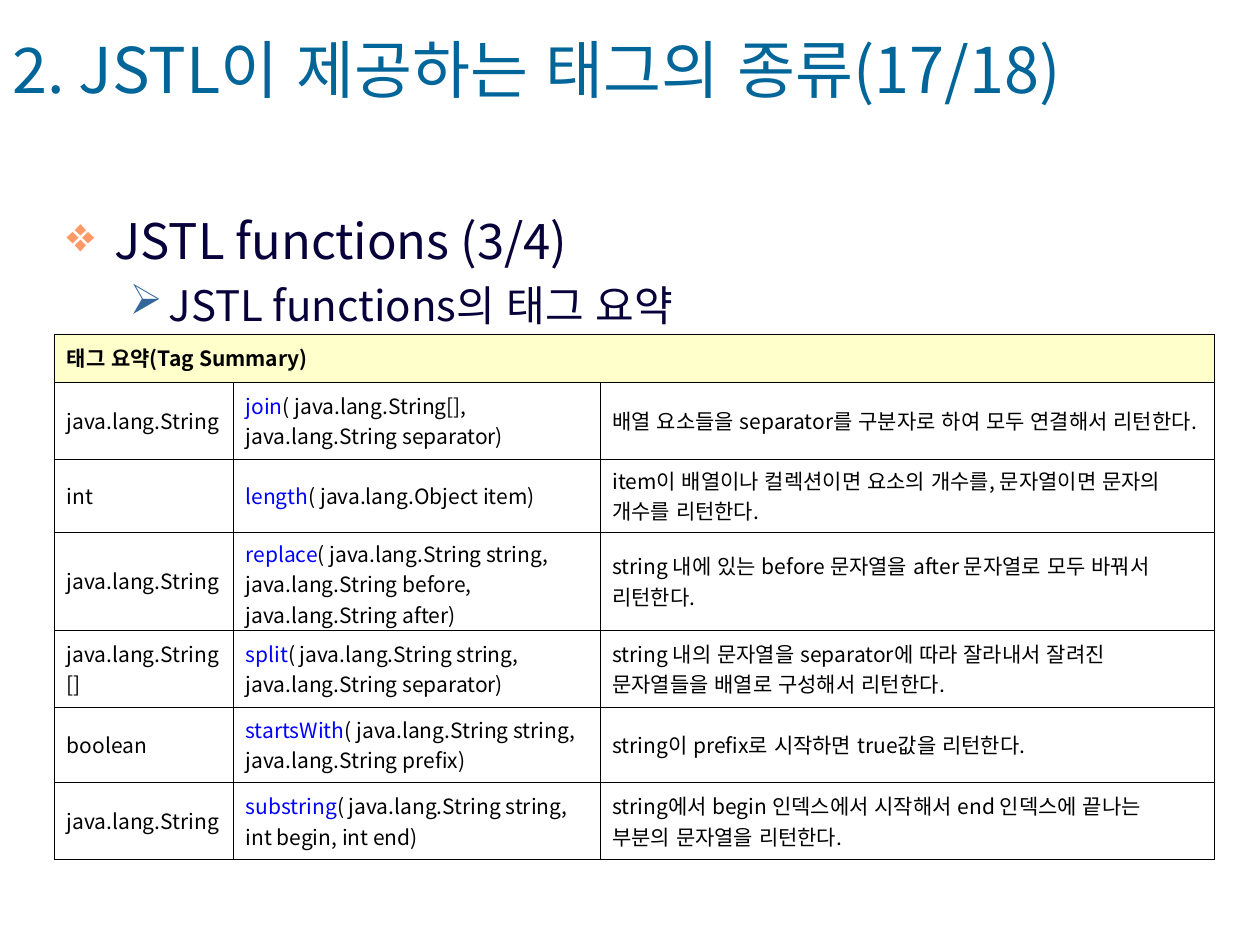
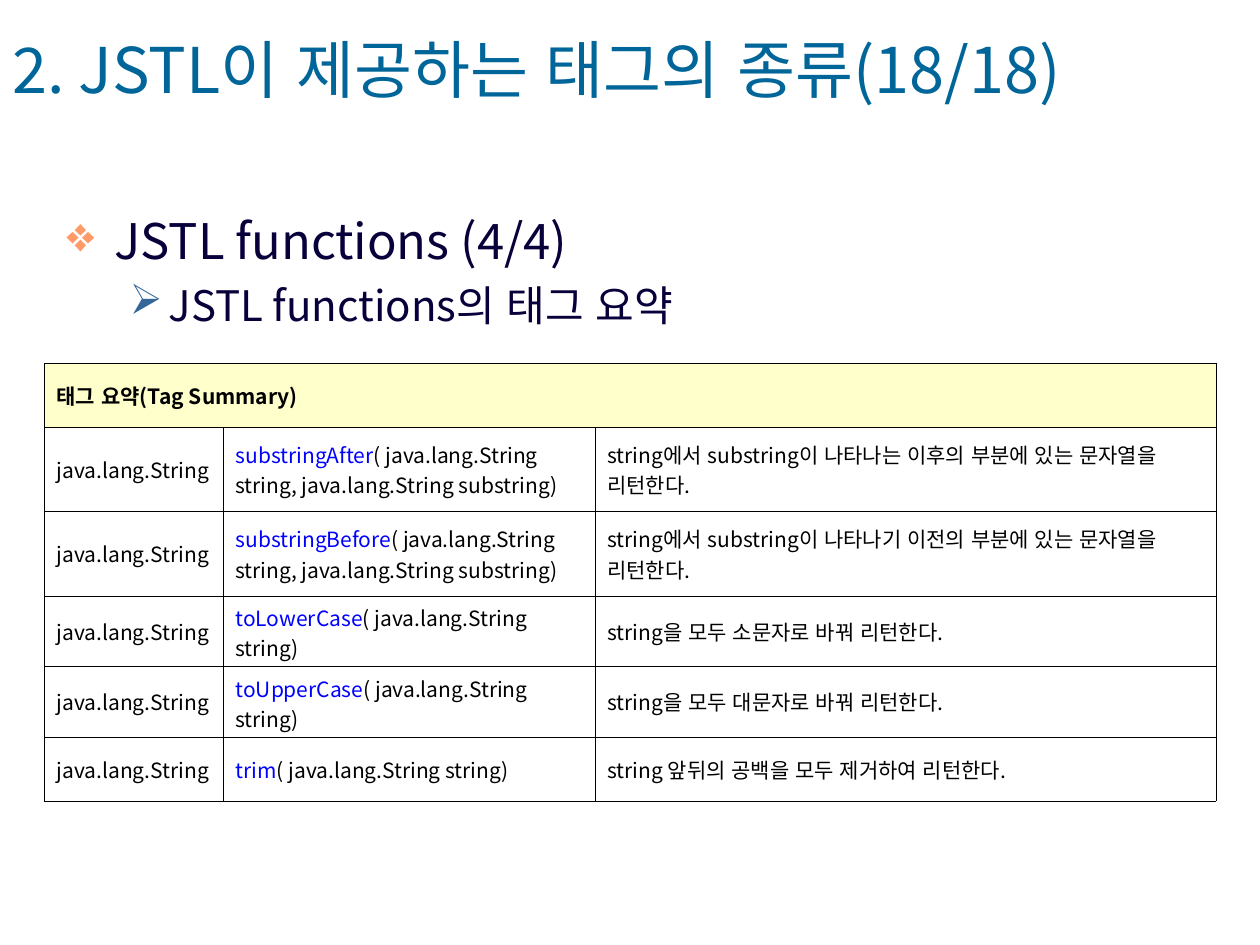
"""Build two slides that summarise the JSTL functions in tables."""
from lxml.etree import SubElement
from pptx import Presentation
from pptx.dml.color import RGBColor
from pptx.enum.lang import MSO_LANGUAGE_ID as Language
from pptx.enum.text import MSO_ANCHOR as Anchor, PP_ALIGN as Align
from pptx.oxml.ns import qn
from pptx.util import Inches, Pt

COLUMNS, ROWS = 100, 75
FONT = "Noto Sans CJK KR"
TITLE, BODY, BLACK, LINK = "006699", "08003A", "000000", "0000FF"
HEAD_FILL, CELL_FILL = "FFFFCC", "FFFFFF"
BORDER = Pt(0.06)
BULLETS = [
    {"mark": "❖", "color": "FF9966", "left": 0.38, "hang": 0.38, "size": 28,
     "format": {"level": 0, "space_before": Pt(7), "alignment": Align.JUSTIFY}},
    {"mark": "➢", "color": "336699", "left": 0.81, "hang": 0.31, "size": 24,
     "format": {"level": 1, "space_before": Pt(6)}},
]
STRING = "java.lang.String"
PAGES = [
    {"number": 17, "part": 3, "left": 4.3, "top": 26.5,
     "widths": [14.2, 29.1, 48.8],
     "heights": [3.8, 6.1, 5.8, 7.8, 6.1, 6, 6.1],
     "functions": [
         (STRING, "join", "java.lang.String[], java.lang.String separator",
          "배열 요소들을 separator를 구분자로 하여 모두 연결해서 리턴한다."),
         ("int", "length", "java.lang.Object item",
          "item이 배열이나 컬렉션이면 요소의 개수를, 문자열이면 문자의 개수를 리턴한다."),
         (STRING, "replace",
          "java.lang.String string, java.lang.String before, java.lang.String after",
          "string 내에 있는 before 문자열을 after 문자열로 모두 바꿔서 리턴한다."),
         (STRING + "[]", "split", "java.lang.String string, java.lang.String separator",
          "string 내의 문자열을 separator에 따라 잘라내서 잘려진 문자열들을 배열로 구성해서 리턴한다."),
         ("boolean", "startsWith", "java.lang.String string, java.lang.String prefix",
          "string이 prefix로 시작하면 true값을 리턴한다."),
         (STRING, "substring", "java.lang.String string, int begin, int end",
          "string에서 begin 인덱스에서 시작해서 end 인덱스에 끝나는 부분의 문자열을 리턴한다."),
     ]},
    {"number": 18, "part": 4, "left": 3.5, "top": 28.8,
     "widths": [14.2, 29.5, 49.3],
     "heights": [5.1, 6.7, 6.7, 5.6, 5.6, 5.1],
     "functions": [
         (STRING, "substringAfter", "java.lang.String string, java.lang.String substring",
          "string에서 substring이 나타나는 이후의 부분에 있는 문자열을 리턴한다."),
         (STRING, "substringBefore", "java.lang.String string, java.lang.String substring",
          "string에서 substring이 나타나기 이전의 부분에 있는 문자열을 리턴한다."),
         (STRING, "toLowerCase", "java.lang.String string",
          "string을 모두 소문자로 바꿔 리턴한다."),
         (STRING, "toUpperCase", "java.lang.String string",
          "string을 모두 대문자로 바꿔 리턴한다."),
         (STRING, "trim", "java.lang.String string",
          "string 앞뒤의 공백을 모두 제거하여 리턴한다."),
     ]},
]


def rgb(color):
    """Turn a hex string into a colour."""
    return RGBColor.from_string(color)


def apply(target, values):
    """Set each attribute named in a dict of format values."""
    for name, value in values.items():
        setattr(target, name, value)


def add_color(parent, color):
    """Add a colour element to an XML parent."""
    SubElement(parent, qn("a:srgbClr"), val=color)


class Composer:
    """Hold the style and the current slide."""

    def __init__(self):
        """Open an empty deck of 10 by 7.5 inches."""
        self.deck = Presentation()
        apply(self.deck, {"slide_width": Inches(10), "slide_height": Inches(7.5)})
        self.page = None

    def across(self, columns):
        """Convert grid columns to a length."""
        return round(self.deck.slide_width * columns / COLUMNS)

    def down(self, rows):
        """Convert grid rows to a length."""
        return round(self.deck.slide_height * rows / ROWS)

    def place(self, left, top, width, height):
        """Convert a grid rectangle to lengths."""
        return self.across(left), self.down(top), self.across(width), self.down(height)

    def new_page(self):
        """Start a slide on the blank layout."""
        self.page = self.deck.slides.add_slide(self.deck.slide_layouts[6])

    def add_span(self, para, text, size, color, bold=False):
        """Add one styled run to a paragraph."""
        span = para.add_run()
        span.text = text
        apply(span.font, {"name": FONT, "size": Pt(size), "bold": bold,
                          "language_id": Language.KOREAN})
        span.font.color.rgb = rgb(color)
        SubElement(span._r.get_or_add_rPr(), qn("a:ea"), typeface=FONT)

    def text_frame(self, area, anchor):
        """Add a wrapping text box and return its frame."""
        frame = self.page.shapes.add_textbox(*self.place(*area)).text_frame
        apply(frame, {"word_wrap": True, "vertical_anchor": anchor})
        return frame

    def title(self, text):
        """Add the slide title."""
        para = self.text_frame((0, 2.8, 85.4, 6.7), Anchor.MIDDLE).paragraphs[0]
        para.line_spacing = 0.7
        self.add_span(para, text, 36, TITLE)

    def outline(self, lines):
        """Add bulleted lines, one level deeper each."""
        frame = self.text_frame((4.3, 16.2, 92.1, 11), Anchor.TOP)
        for index, (text, bullet) in enumerate(zip(lines, BULLETS)):
            para = frame.add_paragraph() if index else frame.paragraphs[0]
            apply(para, bullet["format"])
            marks = para._p.get_or_add_pPr()
            marks.set("marL", str(Inches(bullet["left"])))
            marks.set("indent", str(-Inches(bullet["hang"])))
            add_color(SubElement(marks, qn("a:buClr")), bullet["color"])
            SubElement(marks, qn("a:buChar"), char=bullet["mark"])
            self.add_span(para, text, bullet["size"], BODY)

    def cell(self, cell, spans, fill, bold=False):
        """Fill a table cell with coloured spans and thin borders."""
        cell.vertical_anchor = Anchor.MIDDLE
        properties = cell._tc.get_or_add_tcPr()
        for side in ("L", "R", "T", "B"):
            line = SubElement(properties, qn("a:ln" + side), w=str(BORDER))
            add_color(SubElement(line, qn("a:solidFill")), BLACK)
        cell.fill.solid()
        cell.fill.fore_color.rgb = rgb(fill)
        for text, color in spans:
            self.add_span(cell.text_frame.paragraphs[0], text, 12, color, bold)

    def table(self, left, top, widths, heights, functions):
        """Add the summary table of functions."""
        area = self.place(left, top, sum(widths), sum(heights))
        table = self.page.shapes.add_table(len(heights), len(widths), *area).table
        apply(table, {"first_row": False, "horz_banding": False})
        for column, width in zip(table.columns, widths):
            column.width = self.across(width)
        for row, height in zip(table.rows, heights):
            row.height = self.down(height)
        table.cell(0, 0).merge(table.cell(0, len(widths) - 1))
        heading = [[("태그 요약(Tag Summary)", BLACK)], [], []]
        body = [[[(kind, BLACK)], [(name, LINK), (f"( {arguments})", BLACK)],
                 [(meaning, BLACK)]] for kind, name, arguments, meaning in functions]
        for index, (row, contents) in enumerate(zip(table.rows, [heading] + body)):
            fill = CELL_FILL if index else HEAD_FILL
            for cell, spans in zip(row.cells, contents):
                self.cell(cell, spans, fill, bold=index == 0)


def main():
    """Compose and save the deck."""
    composer = Composer()
    for page in PAGES:
        composer.new_page()
        composer.title(f"2. JSTL이 제공하는 태그의 종류({page['number']}/18)")
        composer.outline([f"JSTL functions ({page['part']}/4)", "JSTL functions의 태그 요약"])
        composer.table(page["left"], page["top"], page["widths"], page["heights"],
                       page["functions"])
    composer.deck.save("out.pptx")


if __name__ == "__main__":
    main()
